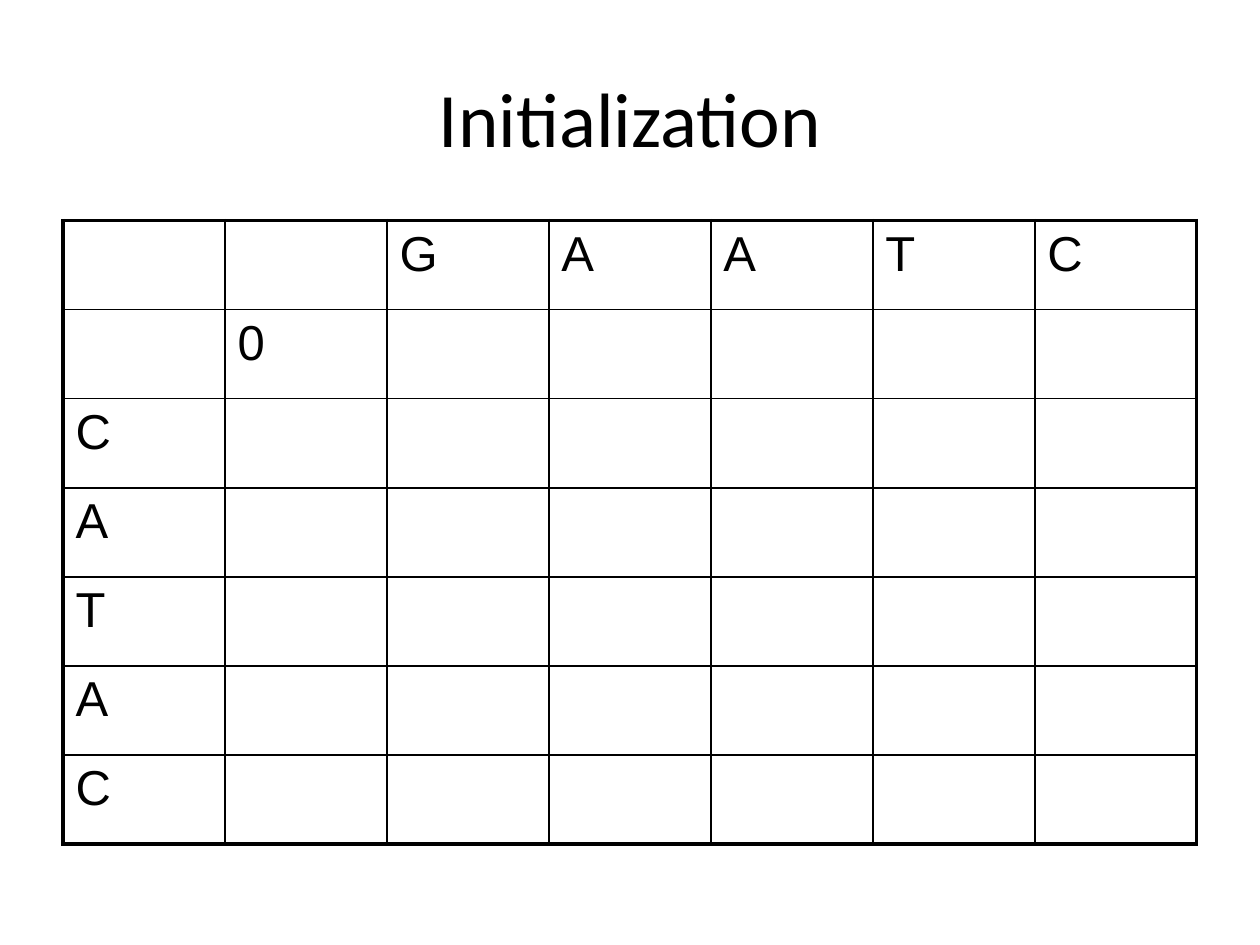
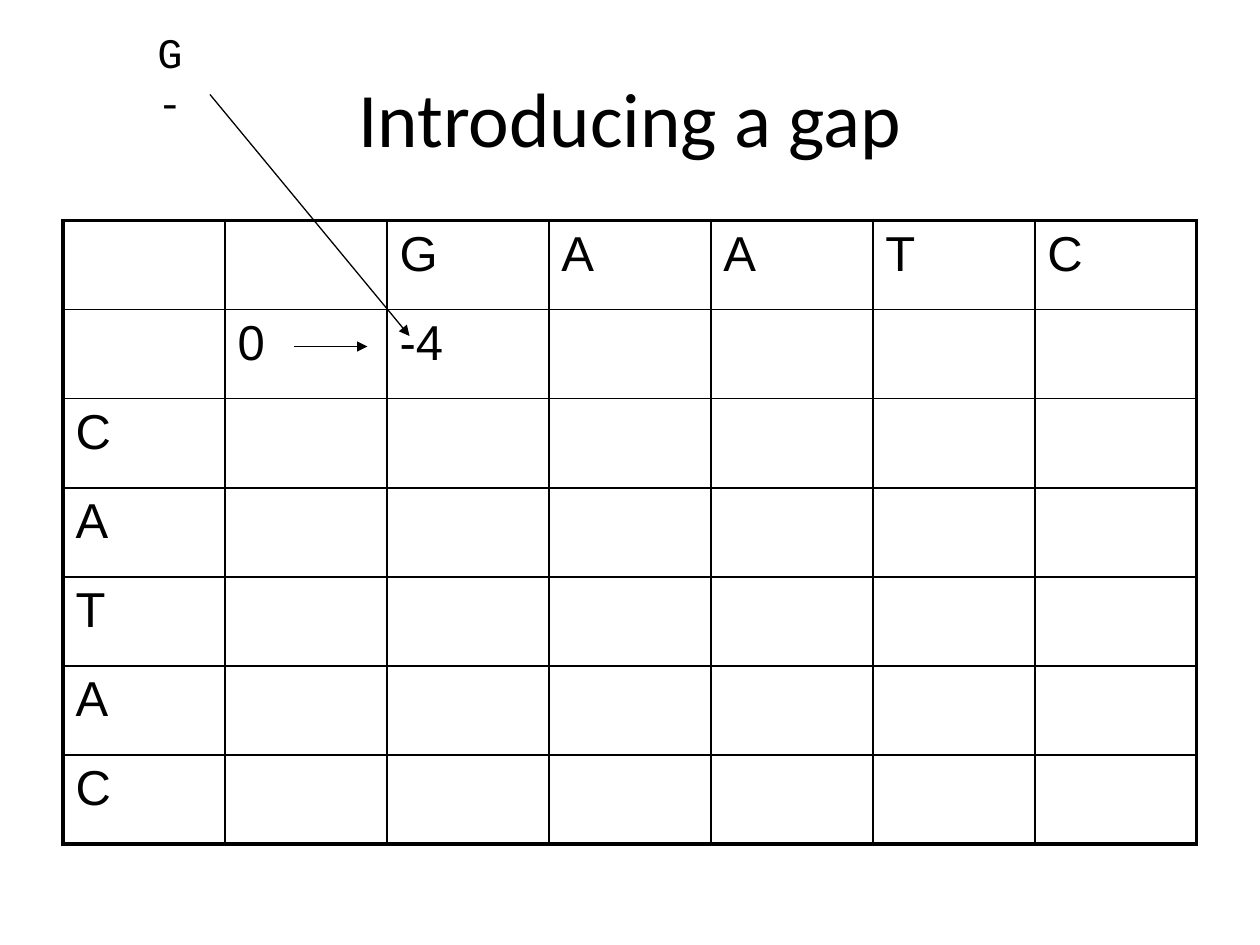
import pptx
import pptx.dml.color
import pptx.enum.shapes
import pptx.enum.text
import pptx.oxml
import pptx.oxml.ns
import pptx.util
from lxml import etree

Pt = pptx.util.Pt
qn = pptx.oxml.ns.qn

COLORS = {"ink": "000000"}
FONTS = {"title": "Calibri", "table": "Arial", "alignment": "Courier New"}
ACROSS = "GAATC"
DOWN = "CATAC"


class Deck:
    """Holds the shared style and the current slide."""

    def __init__(self):
        self.presentation = pptx.Presentation()
        self.presentation.slide_width = Pt(720)
        self.presentation.slide_height = Pt(540)
        self.ink = pptx.dml.color.RGBColor.from_string(COLORS["ink"])
        self.slide = None

    def add_run(self, paragraph, text, font, size):
        run = paragraph.add_run()
        run.text = text
        run.font.name = FONTS[font]
        run.font.size = Pt(size)
        run.font.color.rgb = self.ink

    def add_slide(self, title):
        layout = self.presentation.slide_layouts.get_by_name("Title Only")
        self.slide = self.presentation.slides.add_slide(layout)
        shape = self.slide.shapes.title
        shape.left, shape.top, shape.width, shape.height = Pt(36), Pt(21.6), Pt(648), Pt(90)
        shape.text_frame.vertical_anchor = pptx.enum.text.MSO_ANCHOR.MIDDLE
        paragraph = shape.text_frame.paragraphs[0]
        paragraph.alignment = pptx.enum.text.PP_ALIGN.CENTER
        self.add_run(paragraph, title, "title", 44)

    def add_border(self, cell, side, width):
        properties = cell._tc.get_or_add_tcPr()
        line = etree.SubElement(properties, qn(f"a:ln{side}"), w=str(Pt(width)))
        fill = etree.SubElement(line, qn("a:solidFill"))
        etree.SubElement(fill, qn("a:srgbClr"), val=COLORS["ink"])

    def add_matrix(self, scores):
        rows, columns = len(DOWN) + 2, len(ACROSS) + 2
        labels = {(0, index): base for index, base in enumerate(ACROSS, 2)}
        labels |= {(index, 0): base for index, base in enumerate(DOWN, 2)}
        labels |= scores
        frame = self.slide.shapes.add_table(rows, columns, Pt(36), Pt(126), Pt(648), Pt(356.4))
        table = frame.table
        table.first_row = table.horz_banding = False
        for row in range(rows):
            for column in range(columns):
                cell = table.cell(row, column)
                outer_sides = {"L": column == 0, "R": column == columns - 1,
                               "T": row == 0, "B": row == rows - 1}
                for side, is_outer in outer_sides.items():
                    self.add_border(cell, side, 2.25 if is_outer else 1)
                cell.fill.background()
                if (row, column) in labels:
                    paragraph = cell.text_frame.paragraphs[0]
                    self.add_run(paragraph, labels[row, column], "table", 28)

    def add_alignment(self, symbols, left, top, width, height):
        shape = self.slide.shapes.add_textbox(Pt(left), Pt(top), Pt(width), Pt(height))
        text_frame = shape.text_frame
        text_frame.word_wrap = False
        text_frame.auto_size = pptx.enum.text.MSO_AUTO_SIZE.SHAPE_TO_FIT_TEXT
        for index, symbol in enumerate(symbols):
            paragraph = text_frame.add_paragraph() if index else text_frame.paragraphs[0]
            self.add_run(paragraph, symbol, "alignment", 24)

    def add_arrow(self, start, end):
        arrow = self.slide.shapes.add_connector(
            pptx.enum.shapes.MSO_CONNECTOR.STRAIGHT, *map(Pt, start + end))
        arrow.line.width = Pt(0.75)
        arrow.line.color.rgb = self.ink
        properties = arrow._element.spPr
        etree.SubElement(properties.find(qn("a:ln")), qn("a:tailEnd"), type="triangle")
        etree.SubElement(properties, qn("a:effectLst"))


def main():
    deck = Deck()
    scores = {(1, 1): "0"}

    deck.add_slide("Initialization")
    deck.add_matrix(scores)

    deck.add_slide("Introducing a gap")
    deck.add_matrix(scores | {(1, 2): "-4"})
    deck.add_alignment("G-", 82.8, 11.5, 28.8, 64.8)
    deck.add_arrow((120, 54), (234, 192))
    deck.add_arrow((168, 198), (210, 198))

    deck.presentation.save("out.pptx")


if __name__ == "__main__":
    main()
